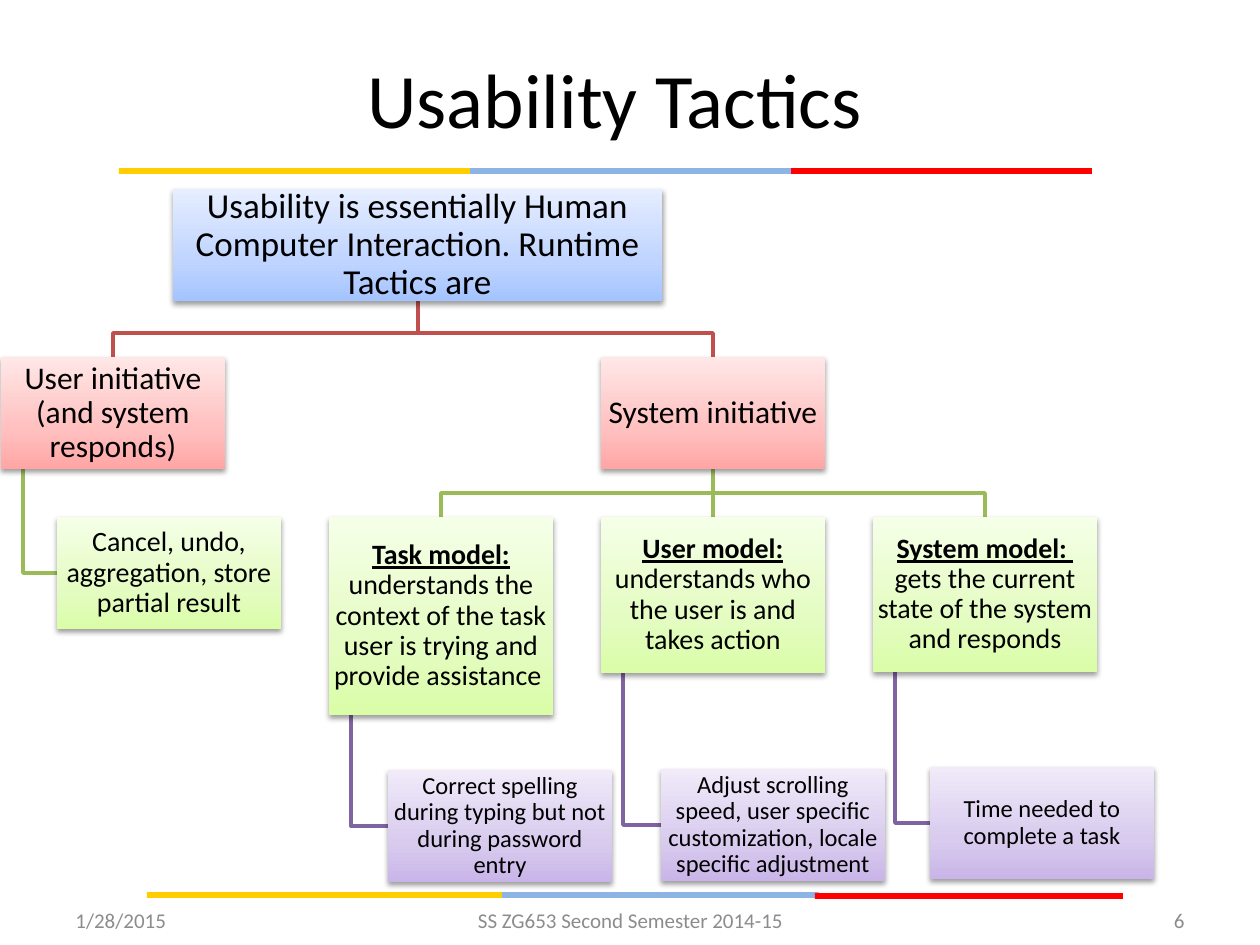
from lxml.etree import SubElement as Sub
from pptx import Presentation
from pptx.dml.color import RGBColor
from pptx.enum.shapes import MSO_CONNECTOR as Conn, MSO_SHAPE as Kind
from pptx.enum.text import MSO_ANCHOR as Anchor, PP_ALIGN as Align
from pptx.oxml import parse_xml
from pptx.oxml.ns import nsdecls, qn
from pptx.util import Pt

SCALE = 914400 / 126
WIDE, TALL = 224, 112
LEFT, STEP = 57, 272
GRADS = {
    "blue": ("A4C4FF", "BFD4FF", "E6EEFF"),
    "red": ("FFA6A5", "FFC0BF", "FFE7E7"),
    "green": ("DAFDA7", "E4FCC2", "F5FFE7"),
    "plum": ("C9B5E8", "D8CBEE", "F0EAF9"),
}
COLS = [LEFT + STEP * i for i in range(4)]
ROOT = (173, 189, 489, TALL)
USER = (1, 357, WIDE, TALL)
SYSTEM = (COLS[2], 357, WIDE, TALL)
MODELS = [(x, 517, WIDE, h) for x, h in zip(COLS, (TALL, 198, 156, 155))]
NOTES = [(x, y, WIDE, TALL) for x, y in ((388, 770), (661, 769), (930, 767))]
TEXTS = [
    [("Cancel, undo, aggregation, store partial result", False)],
    [("Task model:", True),
     (" understands the context of the task user is trying and provide assistance ", False)],
    [("User model: ", True), ("understands who the user is and takes action", False)],
    [("System model: ", True), ("\n", False),
     ("gets the current state of the system and responds", False)],
]
HINTS = [
    "Correct spelling during typing but not during password entry",
    "Adjust scrolling speed, user specific customization, locale specific adjustment",
    "Time needed to complete a task",
]


def emu(*vals):
    return [round(v * SCALE) for v in vals]


def rgb(code):
    return RGBColor.from_string(code)


def apply(obj, vals):
    for key, val in vals.items():
        setattr(obj, key, val)


def write(shape, runs, size, color="000000", align=Align.CENTER, space=1.0, pad=None):
    frame = shape.text_frame
    apply(frame, {"word_wrap": True, "vertical_anchor": Anchor.MIDDLE})
    if pad is not None:
        sides = ("left", "right", "top", "bottom")
        apply(frame, {f"margin_{side}": emu(pad)[0] for side in sides})
    para = frame.paragraphs[0]
    apply(para, {"alignment": align, "line_spacing": space})
    for text, strong in runs:
        if text == "\n":
            para.add_line_break()
            Sub(para._p[-1], qn("a:rPr"), sz=str(size * 100))
            continue
        run = para.add_run()
        run.text = text
        apply(run.font, {"name": "Calibri", "size": Pt(size),
                         "bold": strong, "underline": strong})
        run.font.color.rgb = rgb(color)


def label(slide, rect, text, size, color, align):
    box = slide.shapes.add_textbox(*emu(*rect))
    write(box, [(text, False)], size, color, align)


def bar(slide, rect, color):
    shape = slide.shapes.add_shape(Kind.RECTANGLE, *emu(*rect))
    shape.shadow.inherit = False
    shape.fill.solid()
    shape.fill.fore_color.rgb = rgb(color)
    shape.line.fill.background()


def card(slide, rect, runs, size, hue):
    shape = slide.shapes.add_shape(Kind.RECTANGLE, *emu(*rect))
    shape.line.fill.background()
    stops = "".join(
        f'<a:gs pos="{pos}"><a:srgbClr val="{code}"/></a:gs>'
        for pos, code in zip((0, 35000, 100000), GRADS[hue]))
    line = shape.line._get_or_add_ln()
    line.addprevious(parse_xml(
        f'<a:gradFill {nsdecls("a")}><a:gsLst>{stops}</a:gsLst>'
        '<a:lin ang="16200000" scaled="0"/></a:gradFill>'))
    line.addnext(parse_xml(
        f'<a:effectLst {nsdecls("a")}>'
        '<a:outerShdw blurRad="40000" dist="20000" dir="5400000" rotWithShape="0">'
        '<a:srgbClr val="000000"><a:alpha val="38000"/></a:srgbClr>'
        '</a:outerShdw></a:effectLst>'))
    write(shape, runs, size, space=0.9, pad=1)
    return shape


def stroke(shape, color):
    shape.line.color.rgb = rgb(color)
    shape.line.width = Pt(2)


def bent(slide, points, color):
    form = slide.shapes.build_freeform(*points[0], scale=SCALE)
    form.add_line_segments(points[1:], close=False)
    shape = form.convert_to_shape()
    shape.shadow.inherit = False
    shape.fill.background()
    stroke(shape, color)


def fork(slide, top, low, color):
    x, y = top[0] + top[2] / 2, top[1] + top[3]
    end, bend = low[0] + low[2] / 2, low[1] - 24
    bent(slide, [(x, y), (x, bend), (end, bend), (end, low[1])], color)


def hang(slide, top, low, color):
    x, y = top[0] + 22, low[1] + low[3] / 2
    bent(slide, [(x, top[1] + top[3]), (x, y), (low[0], y)], color)


def stem(slide, color):
    link = slide.shapes.add_connector(Conn.STRAIGHT, 0, 0, 0, 0)
    stroke(link, color)
    Sub(link._element.spPr, qn("a:effectLst"))
    return link


def main():
    deck = Presentation()
    deck.slide_width, deck.slide_height = emu(1260, 945)
    slide = deck.slides.add_slide(deck.slide_layouts[6])

    for rect, color in (
        ((784, 168, 308, 6), "FF0000"), ((119, 168, 355, 6), "FFCE00"),
        ((470, 168, 321, 6), "8EB4E3"), ((498, 892, 321, 6), "8EB4E3"),
        ((815, 893, 308, 6), "FF0000"), ((147, 892, 355, 6), "FFCE00"),
    ):
        bar(slide, rect, color)

    for x, wide, text, align in (
        (431, 399, "SS ZG653 Second Semester 2014-15", Align.CENTER),
        (63, 294, "1/28/2015", Align.LEFT),
        (903, 294, "6", Align.RIGHT),
    ):
        label(slide, (x, 895, wide, 50), text, 12, "8C8C8C", align)
    label(slide, (48, 28, 1134, 140), "Usability Tactics", 44, "000000", Align.CENTER)

    for top, low in zip(MODELS[1:], NOTES):
        hang(slide, top, low, "8064A2")
    for low in (MODELS[1], MODELS[3]):
        fork(slide, SYSTEM, low, "9BBB59")
    link = stem(slide, "9BBB59")
    hang(slide, USER, MODELS[0], "9BBB59")
    for low in (USER, SYSTEM):
        fork(slide, ROOT, low, "C0504D")

    intro = "Usability is essentially Human Computer Interaction. Runtime Tactics are"
    card(slide, ROOT, [(intro, False)], 20, "blue")
    card(slide, USER, [("User initiative (and system responds)", False)], 18, "red")
    head = card(slide, SYSTEM, [("System initiative", False)], 18, "red")
    cards = [card(slide, rect, runs, 16, "green") for rect, runs in zip(MODELS, TEXTS)]
    for rect, text in zip(NOTES, HINTS):
        card(slide, rect, [(text, False)], 14, "plum")
    link.begin_connect(head, 2)
    link.end_connect(cards[2], 0)

    deck.save("out.pptx")


if __name__ == "__main__":
    main()
